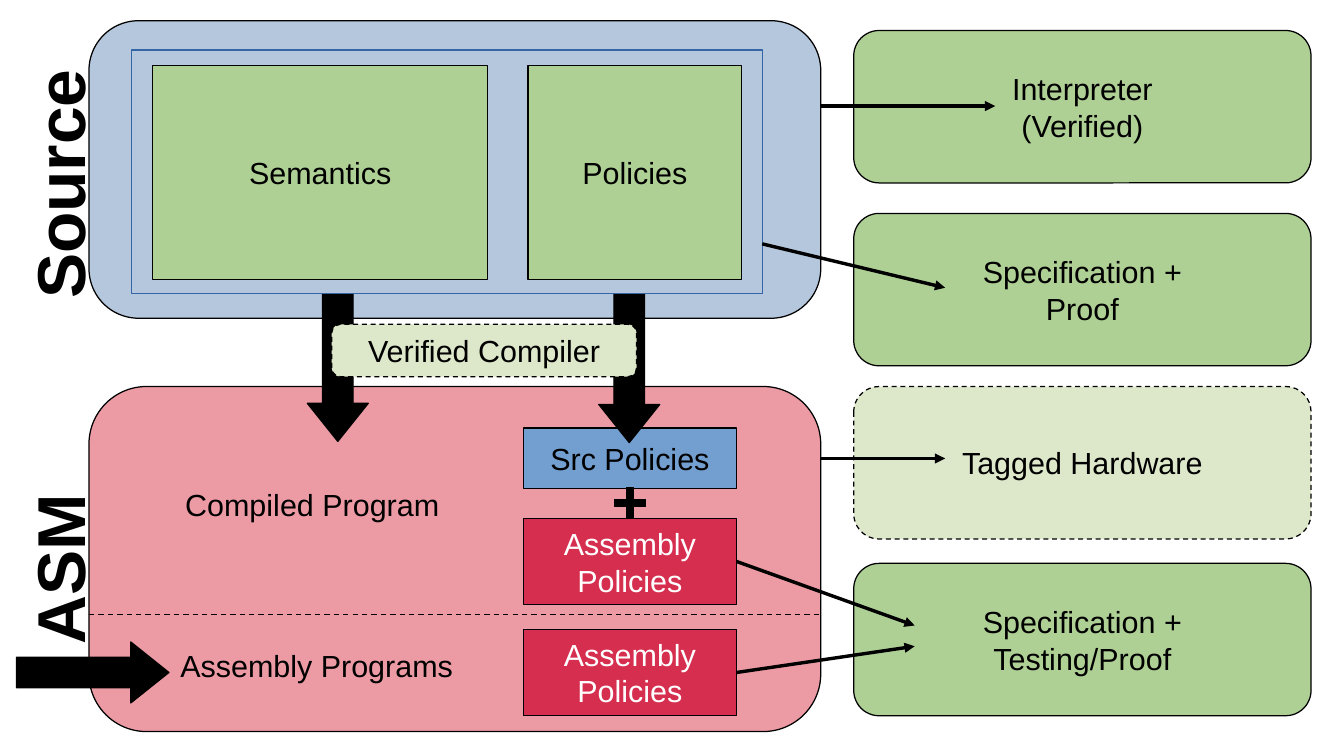
import pptx
import pptx.dml.color
import pptx.enum.dml
import pptx.enum.shapes
import pptx.enum.text
import pptx.oxml.ns
import pptx.util
import lxml.etree

Inches = pptx.util.Inches
Pt = pptx.util.Pt
SHAPE = pptx.enum.shapes.MSO_SHAPE
ROUNDED = SHAPE.FLOWCHART_ALTERNATE_PROCESS
DASH = pptx.enum.dml.MSO_LINE.DASH
CENTER = pptx.enum.text.PP_ALIGN.CENTER
LEFT = pptx.enum.text.PP_ALIGN.LEFT
MIDDLE = pptx.enum.text.MSO_ANCHOR.MIDDLE
TOP = pptx.enum.text.MSO_ANCHOR.TOP

BLACK, WHITE = "000000", "FFFFFF"
BLUE, SOURCE_BLUE = "B4C7DC", "729FCF"
PINK, RED = "EC9BA4", "D62E4E"
GREEN, PALE_GREEN = "AFD095", "DDE8CB"


def color(value):
    return pptx.dml.color.RGBColor.from_string(value)


class Diagram:
    """Draws the boxes, labels and arrows of the diagram on one page."""

    font = {"name": "Arial", "size": Pt(18), "bold": False}

    def __init__(self, page):
        self.shapes = page.shapes

    def outline(self, line, tint=BLACK, width=0, dash=None):
        line.color.rgb = color(tint)
        for name, value in {"width": Pt(width), "dash_style": dash}.items():
            setattr(line, name, value)

    def set_text(self, shape, text, tint=BLACK, align=CENTER, anchor=MIDDLE, wrap=True, **font):
        frame = shape.text_frame
        frame.text = text
        frame.word_wrap = wrap
        frame.vertical_anchor = anchor
        for para in frame.paragraphs:
            para.alignment = align
            for span in para.runs:
                for name, value in {**self.font, **font}.items():
                    setattr(span.font, name, value)
                span.font.color.rgb = color(tint)

    def box(self, kind, place, fill, text="", tint=BLACK, border=BLACK, dash=None,
            adjust=(), rotation=0):
        shape = self.shapes.add_shape(kind, *map(Inches, place))
        shape.shadow.inherit = False
        shape.rotation = rotation
        shape.fill.solid()
        shape.fill.fore_color.rgb = color(fill)
        self.outline(shape.line, border, dash=dash)
        for index, value in enumerate(adjust):
            shape.adjustments[index] = value
        if text:
            self.set_text(shape, text, tint)
        return shape

    def block_arrow(self, left, top, rotation=0):
        self.box(SHAPE.DOWN_ARROW, (left, top, 0.5, 1.25), BLACK,
                 adjust=(0.5, 0.625), rotation=rotation)

    def label(self, place, text, rotation=0, **style):
        shape = self.shapes.add_textbox(*map(Inches, place))
        shape.rotation = rotation
        self.set_text(shape, text, align=LEFT, anchor=TOP, **style)

    def connect(self, start, end, origin=None, head=True, width=0, dash=None):
        line = self.shapes.add_connector(
            pptx.enum.shapes.MSO_CONNECTOR.STRAIGHT, *map(Inches, start + end))
        if origin is not None:
            line.begin_connect(origin, 3)
        self.outline(line.line, width=width, dash=dash)
        properties = line._element.spPr
        if head:
            tail = lxml.etree.SubElement(properties.get_or_add_ln(), pptx.oxml.ns.qn("a:tailEnd"))
            tail.set("type", "triangle")
        lxml.etree.SubElement(properties, pptx.oxml.ns.qn("a:effectLst"))


def main():
    deck = pptx.Presentation()
    deck.slide_width, deck.slide_height = Inches(11.02), Inches(6.2)
    diagram = Diagram(deck.slides.add_slide(deck.slide_layouts[6]))

    diagram.box(ROUNDED, (0.73, 0.17, 6, 2.44), BLUE)
    diagram.box(ROUNDED, (0.73, 3.17, 6, 2.83), PINK)
    diagram.connect((0.73, 5.04), (6.73, 5.04), head=False, width=0.79, dash=DASH)
    diagram.label((1.42, 3.94, 2.44, 0.38), "Compiled Program")
    diagram.label((1.38, 5.26, 2.62, 0.38), "Assembly Programs")
    for place, text in (((-0.58, 1.15, 2.08, 0.72), "Source"),
                        ((-0.26, 4.31, 1.43, 0.72), "ASM")):
        diagram.label(place, text, rotation=270, wrap=False, size=Pt(40), bold=True)

    diagram.box(SHAPE.RECTANGLE, (4.29, 3.51, 1.75, 0.5), SOURCE_BLUE, "Src Policies")
    diagram.box(SHAPE.CROSS, (5.04, 4, 0.25, 0.25), BLACK, adjust=(0.386,))
    policies = [diagram.box(SHAPE.RECTANGLE, (4.29, top, 1.75, 0.71), RED,
                            "Assembly Policies", WHITE) for top in (4.25, 5.16)]

    diagram.block_arrow(2.52, 2.37)
    diagram.block_arrow(4.91, 2.38)
    diagram.block_arrow(0.51, 4.89, rotation=270)

    diagram.box(SHAPE.RECTANGLE, (1.08, 0.41, 5.17, 2), BLUE, border="3465A4")
    for left, width, text in ((1.25, 2.75, "Semantics"), (4.33, 1.75, "Policies")):
        diagram.box(SHAPE.RECTANGLE, (left, 0.54, width, 1.75), GREEN, text)

    for top, fill, dash, text in (
            (0.25, GREEN, None, "Interpreter\n(Verified)"),
            (1.75, GREEN, None, "Specification +\nProof"),
            (3.17, PALE_GREEN, DASH, "Tagged Hardware"),
            (4.62, GREEN, None, "Specification +\nTesting/Proof")):
        diagram.box(ROUNDED, (7, top, 3.75, 1.25), fill, text, dash=dash)

    for start, end, origin in (
            ((6.73, 0.87), (8.16, 0.87), None),
            ((6.25, 2), (7.75, 2.36), None),
            ((6.73, 3.76), (7.75, 3.76), None),
            ((6.04, 4.6), (7.5, 5.13), policies[0]),
            ((6.04, 5.52), (7.5, 5.3), policies[1])):
        diagram.connect(start, end, origin)

    diagram.box(ROUNDED, (2.72, 2.66, 2.5, 0.43), PALE_GREEN, "Verified Compiler", dash=DASH)
    deck.save("out.pptx")


if __name__ == "__main__":
    main()
